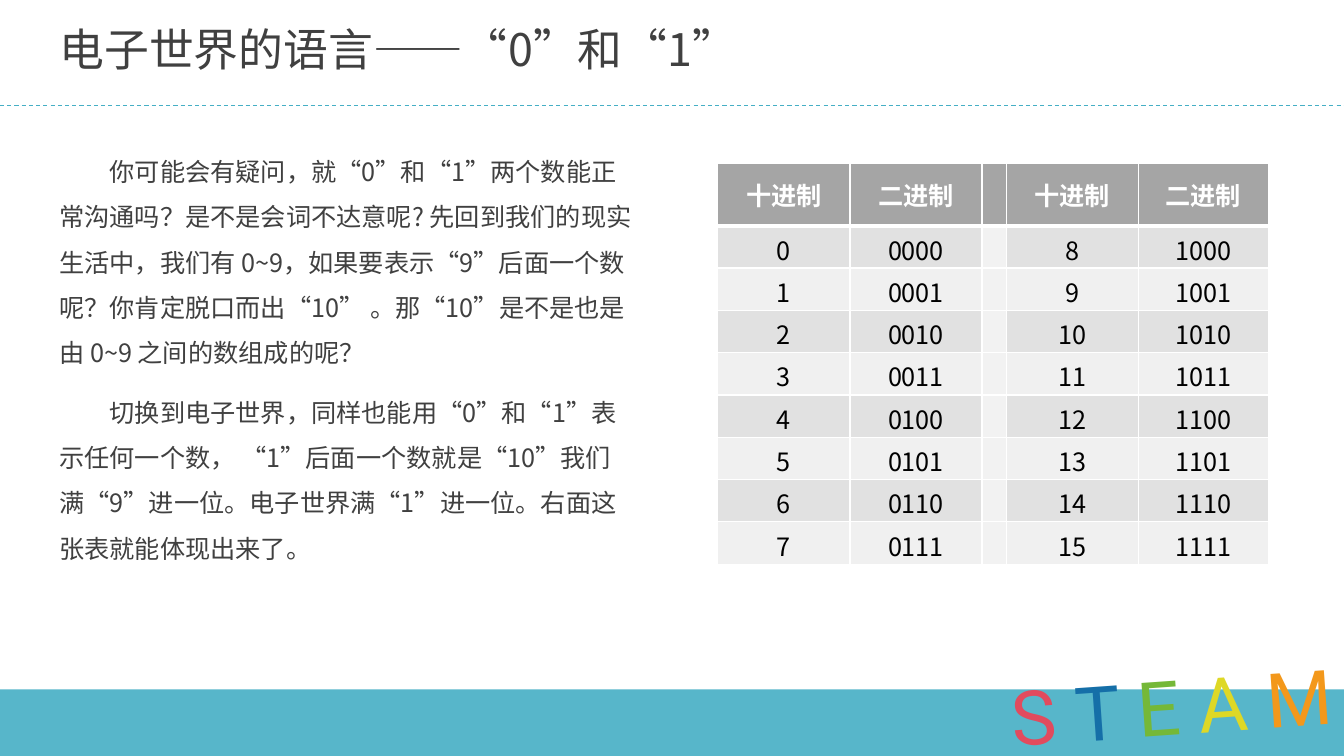
from lxml import etree
from pptx import Presentation, util as u
from pptx.dml.color import RGBColor
from pptx.enum import dml, shapes, text
from pptx.oxml.ns import qn

TITLE = "电子世界的语言——“0”和“1”"
BODY = [
    "你可能会有疑问，就“0”和“1”两个数能正常沟通吗？是不是会词不达意呢? 先回到我们的现实生活中，我们有 0~9，如果要表示“9”后面一个数呢？你肯定脱口而出“10” 。那“10”是不是也是由 0~9 之间的数组成的呢？",
    "切换到电子世界，同样也能用“0”和“1”表示任何一个数， “1”后面一个数就是“10”我们满“9”进一位。电子世界满“1”进一位。右面这张表就能体现出来了。",
]
HEAD = ["十进制", "二进制", "", "十进制", "二进制"]
ROWS = [HEAD] + [[str(n), f"{n:04b}", "", str(n + 8), f"{n + 8:04b}"] for n in range(8)]
WORD = [("S ", "red"), ("T ", "blue"), ("E ", "green"), ("A ", "yellow"), ("M", "orange")]
COLS = [1.31, 1.31, 0.23, 1.31, 1.29]
HIGH = [0.62] + [0.42] * 8
HEX = {
    "teal": "45AFC5", "ink": "404040", "white": "FFFFFF", "black": "000000",
    "head": "A5A5A5", "odd": "E1E1E1", "even": "F0F0F0", "gap": "F2F2F2",
    "red": "E14B5E", "blue": "156FA8", "green": "75B838",
    "yellow": "DED826", "orange": "F3981B",
}
SANS = "Noto Sans CJK SC"
WIDE, TALL, LEFT = 13.33, 7.5, 0.49


def rgb(name):
    return RGBColor.from_string(HEX[name])


def box(*sides):
    return [u.Inches(side) for side in sides]


def style(para, size, color, bold=False):
    font = para.font
    font.size, font.bold, font.name = u.Pt(size), bold, SANS
    font.color.rgb = rgb(color)
    props = para._p.pPr.find(qn("a:defRPr"))
    props.set("lang", "zh-CN")
    etree.SubElement(props, qn("a:ea"), typeface=SANS)


def edge(cell, low):
    props = cell._tc.get_or_add_tcPr()
    for tag, width in (("lnL", 1), ("lnR", 1), ("lnT", 1), ("lnB", low)):
        line = etree.SubElement(props, qn("a:" + tag), w=str(u.Pt(width)))
        fill = etree.SubElement(line, qn("a:solidFill"))
        etree.SubElement(fill, qn("a:srgbClr"), val=HEX["white"])


def frame(slide):
    band = slide.shapes.add_shape(
        shapes.MSO_SHAPE.RECTANGLE, *box(0, 6.84, WIDE, TALL - 6.84))
    band.shadow.inherit = False
    band.fill.solid()
    band.fill.fore_color.rgb = rgb("teal")
    band.line.fill.background()
    tint = band._element.spPr.find(qn("a:solidFill"))[0]
    etree.SubElement(tint, qn("a:alpha"), val="90000")

    rule = slide.shapes.add_connector(
        shapes.MSO_CONNECTOR.STRAIGHT, *box(0, 1.05, WIDE, 1.05))
    rule.line.color.rgb = rgb("teal")
    rule.line.width = u.Pt(0.75)
    rule.line.dash_style = dml.MSO_LINE.DASH
    etree.SubElement(rule._element.spPr, qn("a:effectLst"))

    mark = slide.shapes.add_textbox(*box(9.93, 6.48, 3.92, 1.01))
    mark.rotation = 356
    mark.text_frame.word_wrap = True
    para = mark.text_frame.paragraphs[0]
    para.font.size, para.font.name = u.Pt(54), "Roboto"
    for part, color in WORD:
        run = para.add_run()
        run.text = part
        run.font.color.rgb = rgb(color)


def title(slide):
    head = slide.shapes.title
    head.left, head.top, head.width, head.height = box(LEFT, 0.19, 10.09, 0.65)
    area = head.text_frame
    area.text = TITLE
    area.auto_size = text.MSO_AUTO_SIZE.NONE
    area.vertical_anchor = text.MSO_ANCHOR.MIDDLE
    para = area.paragraphs[0]
    para.alignment, para.line_spacing = text.PP_ALIGN.LEFT, 0.9
    style(para, 32, "ink")


def body(slide):
    area = slide.shapes.add_textbox(*box(LEFT, 1.35, 5.9, 5.14)).text_frame
    area.word_wrap = True
    area.text = "\n".join(BODY)
    for para in area.paragraphs:
        para.line_spacing, para.space_before = 1.5, u.Pt(10)
        para._p.pPr.set("indent", str(u.Inches(0.5)))
        style(para, 18, "ink")


def table(slide):
    grid = slide.shapes.add_table(
        len(ROWS), len(COLS), *box(7.12, 1.62, sum(COLS), sum(HIGH))).table
    for col, width in zip(grid.columns, COLS):
        col.width = u.Inches(width)
    for r, row in enumerate(ROWS):
        grid.rows[r].height = u.Inches(HIGH[r])
        for c, word in enumerate(row):
            cell = grid.cell(r, c)
            edge(cell, 1 if r else 3)
            shade = "head" if r == 0 else "gap" if c == 2 else "odd" if r % 2 else "even"
            cell.fill.solid()
            cell.fill.fore_color.rgb = rgb(shade)
            cell.vertical_anchor = text.MSO_ANCHOR.MIDDLE
            cell.text = word
            para = cell.text_frame.paragraphs[0]
            para.alignment = text.PP_ALIGN.CENTER
            style(para, 18, "black" if r else "white", r == 0)


def main():
    deck = Presentation()
    deck.slide_width, deck.slide_height = box(WIDE, TALL)
    slide = deck.slides.add_slide(deck.slide_layouts[5])
    for draw in (frame, title, body, table):
        draw(slide)
    deck.save("out.pptx")


if __name__ == "__main__":
    main()
